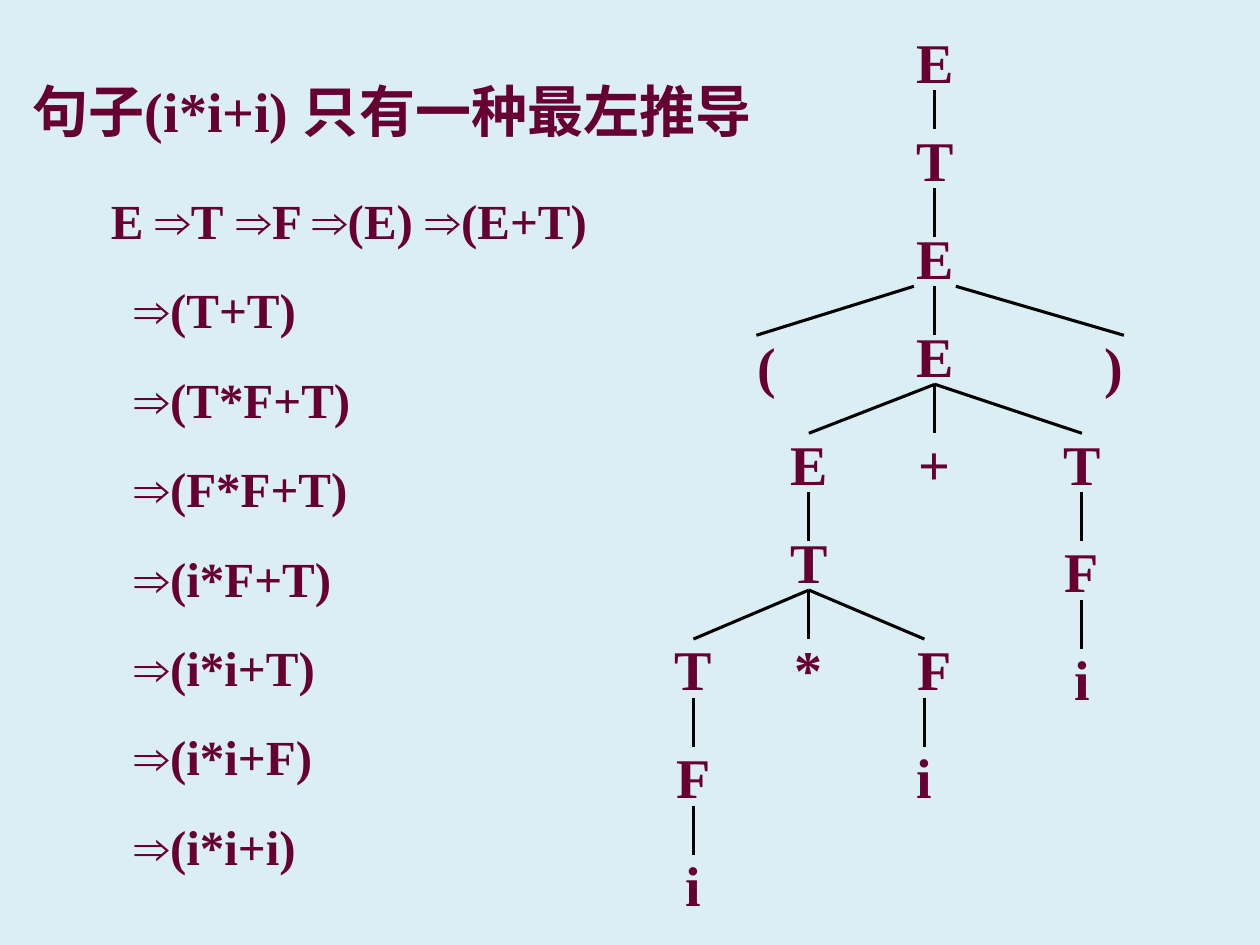
from dataclasses import dataclass

from lxml.etree import SubElement
from pptx import Presentation
from pptx.dml.color import RGBColor
from pptx.enum.shapes import MSO_CONNECTOR
from pptx.enum.text import MSO_ANCHOR, MSO_AUTO_SIZE, PP_ALIGN
from pptx.oxml.ns import qn
from pptx.util import Inches, Pt


@dataclass(frozen=True)
class Theme:
    """Colours, fonts and sizes of the slide."""
    back: RGBColor = RGBColor(0xDB, 0xEE, 0xF4)
    text: RGBColor = RGBColor(0x66, 0x00, 0x33)
    edge: RGBColor = RGBColor(0, 0, 0)
    font: str = "Times New Roman"
    arrow_font: str = "Arial"
    large: int = 32
    medium: int = 28
    gap: float = 17.5
    edge_width: float = 1.75


THEME = Theme()
ARROW = "⇒"
FIRST_STEP = "E ⇒T\t⇒F ⇒(E)\t⇒(E+T)"
NEXT_STEPS = ["(T+T)", "(T*F+T)", "(F*F+T)", "(i*F+T)",
              "(i*i+T)", "(i*i+F)", "(i*i+i)"]
STEP_TABS = (1.07, 2.66)
STEP_INDENT = 0.19

TREE_COLS, TREE_ROWS = 48, 90
NODE_COLS, NODE_ROWS = 8, 6
NODES = [
    ("E", 27, 0), ("T", 27, 10), ("E", 27, 20),
    ("(", 11, 31), ("E", 27, 30), (")", 44, 31),
    ("E", 15, 41), ("+", 27, 41), ("T", 41, 41),
    ("T", 15, 51), ("F", 41, 52), ("i", 41, 63),
    ("T", 4, 62), ("*", 15, 62), ("F", 27, 62),
    ("F", 4, 73), ("i", 26, 73), ("i", 4, 84),
]
EDGES = [
    (27, 6, 27, 10), (27, 16, 27, 21),
    (25, 26, 10, 31), (27, 26, 27, 31), (29, 26, 45, 31),
    (27, 36, 15, 41), (27, 36, 27, 41), (27, 36, 41, 41),
    (15, 47, 15, 52), (41, 47, 41, 52), (41, 58, 41, 63),
    (15, 57, 4, 62), (15, 57, 15, 62), (15, 57, 26, 62),
    (4, 68, 4, 73), (26, 68, 26, 73), (4, 79, 4, 84),
]


def add_run(p, text, size, font=THEME.font):
    """Add one bold run in the text colour."""
    r = p.add_run()
    r.text = text
    r.font.name = font
    r.font.size = Pt(size)
    r.font.bold = True
    r.font.color.rgb = THEME.text


def place(sp, box):
    """Move a placeholder to a box and give it plain top-left text."""
    sp.left, sp.top, sp.width, sp.height = map(Inches, box)
    tf = sp.text_frame
    tf.word_wrap = True
    tf.auto_size = MSO_AUTO_SIZE.NONE
    tf.vertical_anchor = MSO_ANCHOR.TOP
    return tf


def set_indent(p, indent, tabs=()):
    """Set the left margin and tab stops and drop the bullet."""
    pPr = p._p.get_or_add_pPr()
    pPr.set("marL", str(Inches(indent)))
    pPr.set("indent", "0")
    SubElement(pPr, qn("a:buNone"))
    if tabs:
        tab_list = SubElement(pPr, qn("a:tabLst"))
        for pos in tabs:
            SubElement(tab_list, qn("a:tab"), pos=str(Inches(pos)), algn="l")


def fill_title(sp, box):
    """Write the heading."""
    p = place(sp, box).paragraphs[0]
    p.alignment = PP_ALIGN.LEFT
    p.space_before = Pt(0)
    add_run(p, "句子(i*i+i) 只有一种最左推导", THEME.large)


def add_step(p, text):
    """Write one derivation line, with its arrows in their own font."""
    for i, part in enumerate(text.split(ARROW)):
        if i:
            add_run(p, ARROW, THEME.medium, THEME.arrow_font)
        if part:
            add_run(p, part, THEME.medium)


def fill_derivation(sp, box):
    """Write the leftmost derivation, one step a paragraph."""
    tf = place(sp, box)
    p = tf.paragraphs[0]
    p.space_before = Pt(0)
    set_indent(p, 0, STEP_TABS)
    add_step(p, FIRST_STEP)
    for form in NEXT_STEPS:
        p = tf.add_paragraph()
        p.space_before = Pt(THEME.gap)
        set_indent(p, STEP_INDENT)
        add_step(p, ARROW + form)


def add_tree(slide, box):
    """Draw the parse tree on a grid of columns and rows inside a box."""
    left, top, width, height = box

    def x(col):
        """Return the position of a column."""
        return Inches(left + width * col / TREE_COLS)

    def y(row):
        """Return the position of a row."""
        return Inches(top + height * row / TREE_ROWS)

    shapes = slide.shapes.add_group_shape().shapes
    for symbol, col, row in NODES:
        start = x(col - NODE_COLS / 2)
        sp = shapes.add_textbox(start, y(row), x(col + NODE_COLS / 2) - start,
                                y(row + NODE_ROWS) - y(row))
        tf = sp.text_frame
        tf.word_wrap = False
        tf.vertical_anchor = MSO_ANCHOR.MIDDLE
        p = tf.paragraphs[0]
        p.alignment = PP_ALIGN.CENTER
        add_run(p, symbol, THEME.large)
    for col1, row1, col2, row2 in EDGES:
        line = shapes.add_connector(MSO_CONNECTOR.STRAIGHT,
                                    x(col1), y(row1), x(col2), y(row2))
        line.line.color.rgb = THEME.edge
        line.line.width = Pt(THEME.edge_width)
        SubElement(line._element.spPr, qn("a:effectLst"))


def main():
    """Build and save the slide."""
    prs = Presentation()
    prs.slide_width, prs.slide_height = Inches(10), Inches(7.5)
    slide = prs.slides.add_slide(prs.slide_layouts[1])
    slide.background.fill.solid()
    slide.background.fill.fore_color.rgb = THEME.back
    title, body = slide.placeholders
    fill_title(title, (0.16, 0.56, 6.42, 0.75))
    fill_derivation(body, (0.78, 1.46, 5.26, 5.83))
    add_tree(slide, (5.17, 0.25, 4, 7))
    prs.save("out.pptx")


if __name__ == "__main__":
    main()
